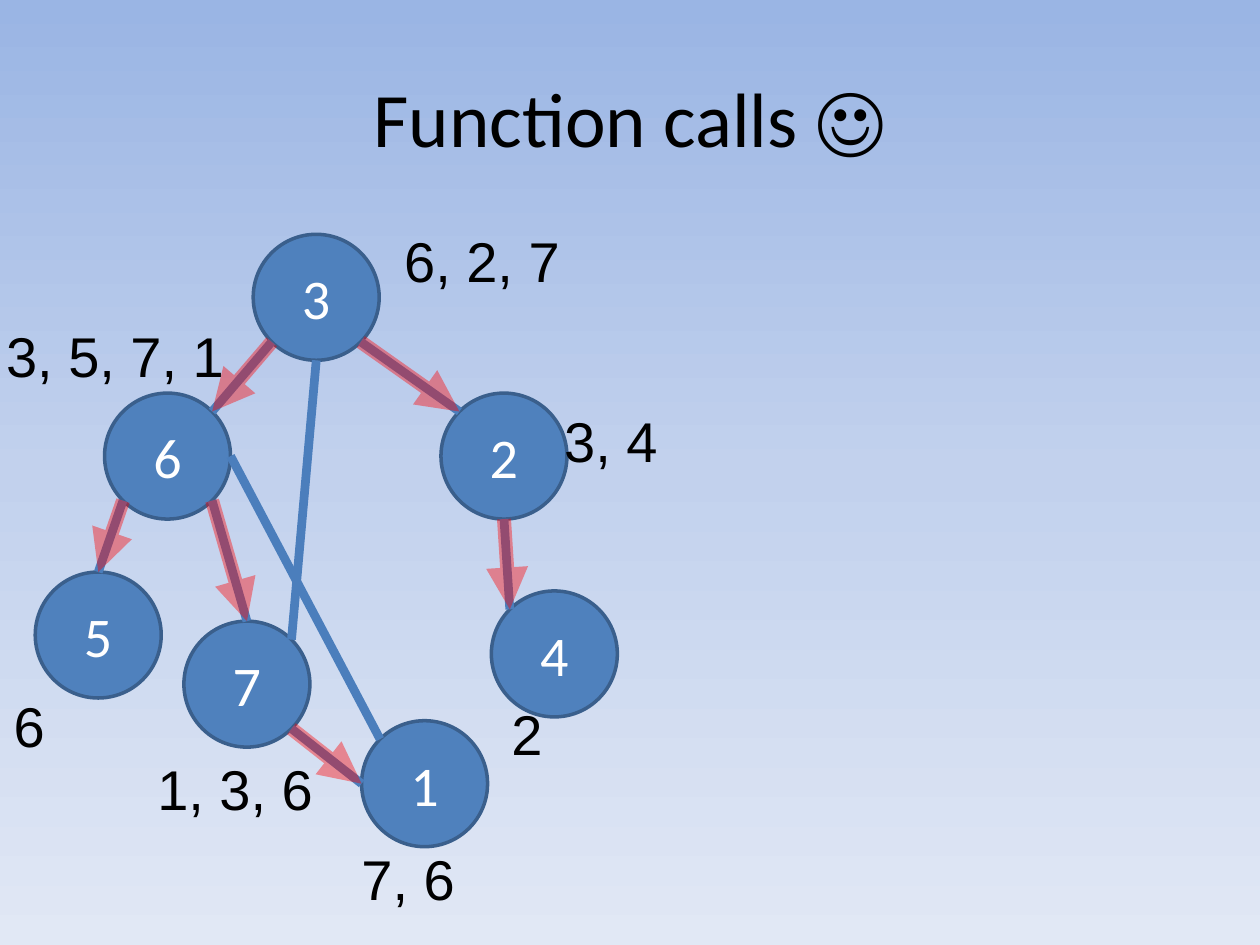
from collections import namedtuple
from copy import deepcopy
from dataclasses import dataclass
from math import cos, radians, sin

from lxml.etree import SubElement
from pptx import Presentation
from pptx.dml.color import RGBColor
from pptx.enum.shapes import MSO_CONNECTOR, MSO_SHAPE
from pptx.enum.text import MSO_ANCHOR, MSO_AUTO_SIZE, PP_ALIGN
from pptx.oxml.ns import qn
from pptx.util import Inches, Pt

Box = namedtuple("Box", "left top width height")


@dataclass(frozen=True)
class Theme:
    background: tuple = ((0, "9AB5E4"), (0.5, "C2D1ED"), (1, "E1E8F5"))
    node: str = "4F81BD"
    outline: str = "3A5F8C"
    edge: str = "4B7EBC"
    call: str = "FF0000"
    ink: str = "000000"
    node_ink: str = "FFFFFF"
    heading_font: str = "Calibri"
    label_font: str = "Arial"
    title_size: int = 44
    body_size: int = 32
    outline_width: int = 2
    edge_width: int = 5
    call_width: int = 8
    call_opacity: int = 40


THEME = Theme()
DIAMETER = 1
LABEL_HEIGHT = 0.64
ANGLES = {"e": 0, "se": 45, "s": 90, "sw": 135, "w": 180, "nw": 225, "n": 270, "ne": 315}

NODES = {
    "3": (2.01, 1.86),
    "6": (0.83, 3.12),
    "5": (0.28, 4.54),
    "7": (1.46, 4.93),
    "4": (3.9, 4.69),
    "2": (3.5, 3.12),
    "1": (2.87, 5.72),
}
CALLS = [
    ("3", "sw", "6", "ne"),
    ("2", "s", "4", "nw"),
    ("6", "sw", "5", "n"),
    ("6", "se", "7", "n"),
    ("7", "se", "1", "w"),
    ("3", "se", "2", "nw"),
]
OTHER_EDGES = [("3", "s", "7", "ne"), ("6", "e", "1", "nw")]
NEIGHBOURS = [
    ("6, 2, 7", 3.11, 1.75, 1.57),
    ("3, 5, 7, 1", -0.05, 2.5, 2.21),
    ("6", 0.01, 5.44, 1.57),
    ("1, 3, 6", 1.15, 5.94, 1.57),
    ("7, 6", 2.77, 6.65, 1.57),
    ("3, 4", 4.38, 3.18, 1.57),
    ("2", 3.96, 5.5, 1.57),
]


def color(value):
    return RGBColor.from_string(value)


def write(frame, text, font_name, size, ink, align=PP_ALIGN.LEFT):
    frame.text = text
    paragraph = frame.paragraphs[0]
    paragraph.alignment = align
    font = paragraph.runs[0].font
    font.name, font.size = font_name, Pt(size)
    font.color.rgb = color(ink)


def paint_background(slide):
    fill = slide.background.fill
    fill.gradient()
    fill.gradient_angle = 270
    stop_list = next(slide.element.iter(qn("a:gsLst")))
    stop_list.insert(1, deepcopy(stop_list[0]))
    for stop, (position, value) in zip(fill.gradient_stops, THEME.background):
        stop.position = position
        stop.color.rgb = color(value)


def add_title(slide, box):
    title = slide.shapes.add_textbox(*map(Inches, box))
    frame = title.text_frame
    frame.word_wrap = True
    frame.vertical_anchor = MSO_ANCHOR.MIDDLE
    write(frame, "Function calls ☺", THEME.heading_font, THEME.title_size, THEME.ink, PP_ALIGN.CENTER)


def add_node(slide, number, box):
    node = slide.shapes.add_shape(MSO_SHAPE.OVAL, *map(Inches, box))
    node.shadow.inherit = False
    node.fill.solid()
    node.fill.fore_color.rgb = color(THEME.node)
    node.line.color.rgb = color(THEME.outline)
    node.line.width = Pt(THEME.outline_width)
    node.text_frame.vertical_anchor = MSO_ANCHOR.MIDDLE
    write(node.text_frame, number, THEME.heading_font, THEME.body_size, THEME.node_ink, PP_ALIGN.CENTER)


def rim_point(box, side):
    angle = radians(ANGLES[side])
    return (
        Inches(box.left + box.width / 2 * (1 + cos(angle))),
        Inches(box.top + box.height / 2 * (1 + sin(angle))),
    )


def add_edge(slide, start, end, value, width):
    edge = slide.shapes.add_connector(MSO_CONNECTOR.STRAIGHT, *start, *end)
    edge.line.color.rgb = color(value)
    edge.line.width = Pt(width)
    SubElement(edge._element.spPr, qn("a:effectLst"))
    return edge


def add_call(slide, start, end):
    call = add_edge(slide, start, end, THEME.call, THEME.call_width)
    outline = call.line._get_or_add_ln()
    tint = next(outline.iter(qn("a:srgbClr")))
    SubElement(tint, qn("a:alpha"), val=str(THEME.call_opacity * 1000))
    SubElement(outline, qn("a:tailEnd"), type="triangle")


def add_neighbours(slide, text, box):
    label = slide.shapes.add_textbox(*map(Inches, box))
    label.text_frame.word_wrap = True
    label.text_frame.auto_size = MSO_AUTO_SIZE.SHAPE_TO_FIT_TEXT
    write(label.text_frame, text, THEME.label_font, THEME.body_size, THEME.ink)


def add_graph(slide, area):
    circles = {
        number: Box(area.left + x, area.top + y, DIAMETER, DIAMETER)
        for number, (x, y) in NODES.items()
    }

    def ends(edge):
        source, source_side, target, target_side = edge
        return rim_point(circles[source], source_side), rim_point(circles[target], target_side)

    for number, circle in circles.items():
        add_node(slide, number, circle)
    for edge in CALLS + OTHER_EDGES:
        add_edge(slide, *ends(edge), THEME.edge, THEME.edge_width)
    for edge in CALLS:
        add_call(slide, *ends(edge))
    for text, x, y, width in NEIGHBOURS:
        add_neighbours(slide, text, Box(area.left + x, area.top + y, width, LABEL_HEIGHT))


def main():
    deck = Presentation()
    deck.slide_width, deck.slide_height = Inches(10), Inches(7.5)
    slide = deck.slides.add_slide(deck.slide_layouts[6])
    paint_background(slide)
    add_title(slide, Box(0.5, 0.3, 9, 1.25))
    add_graph(slide, Box(0, 0, 6, 7.5))
    deck.save("out.pptx")


if __name__ == "__main__":
    main()
